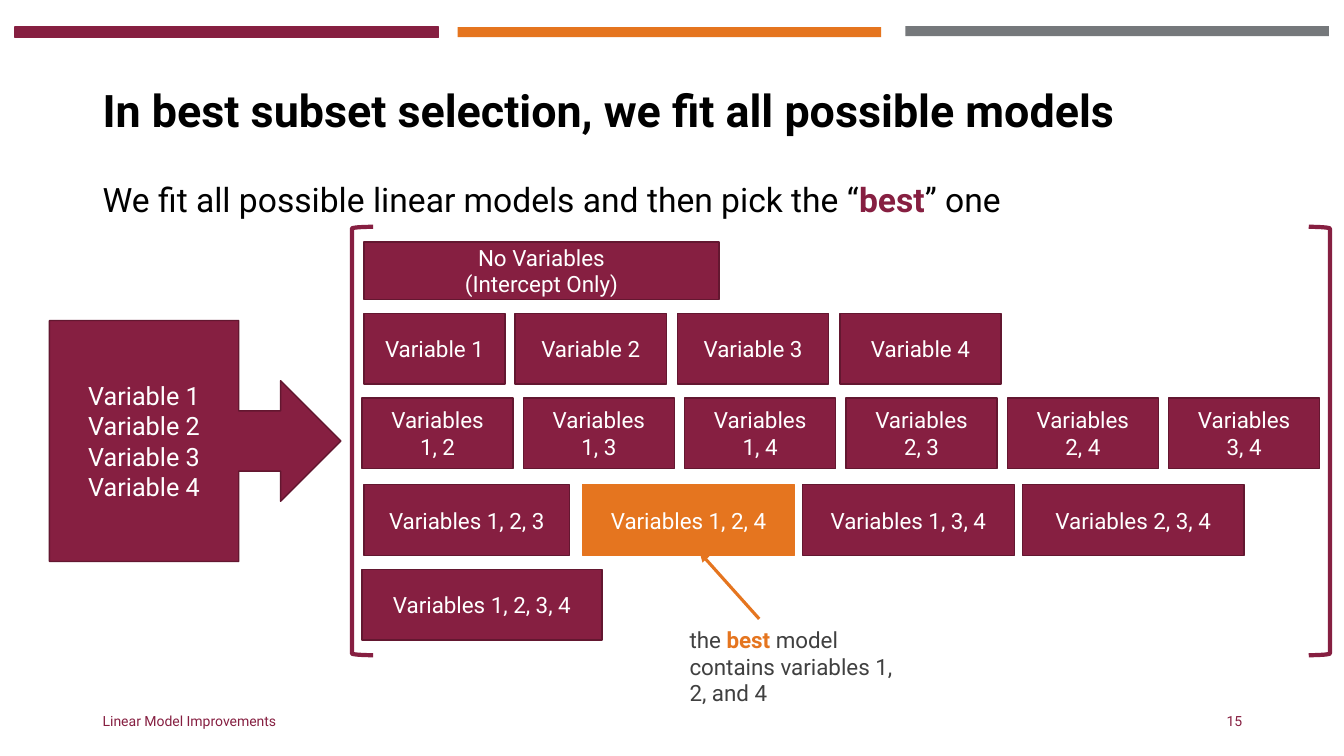
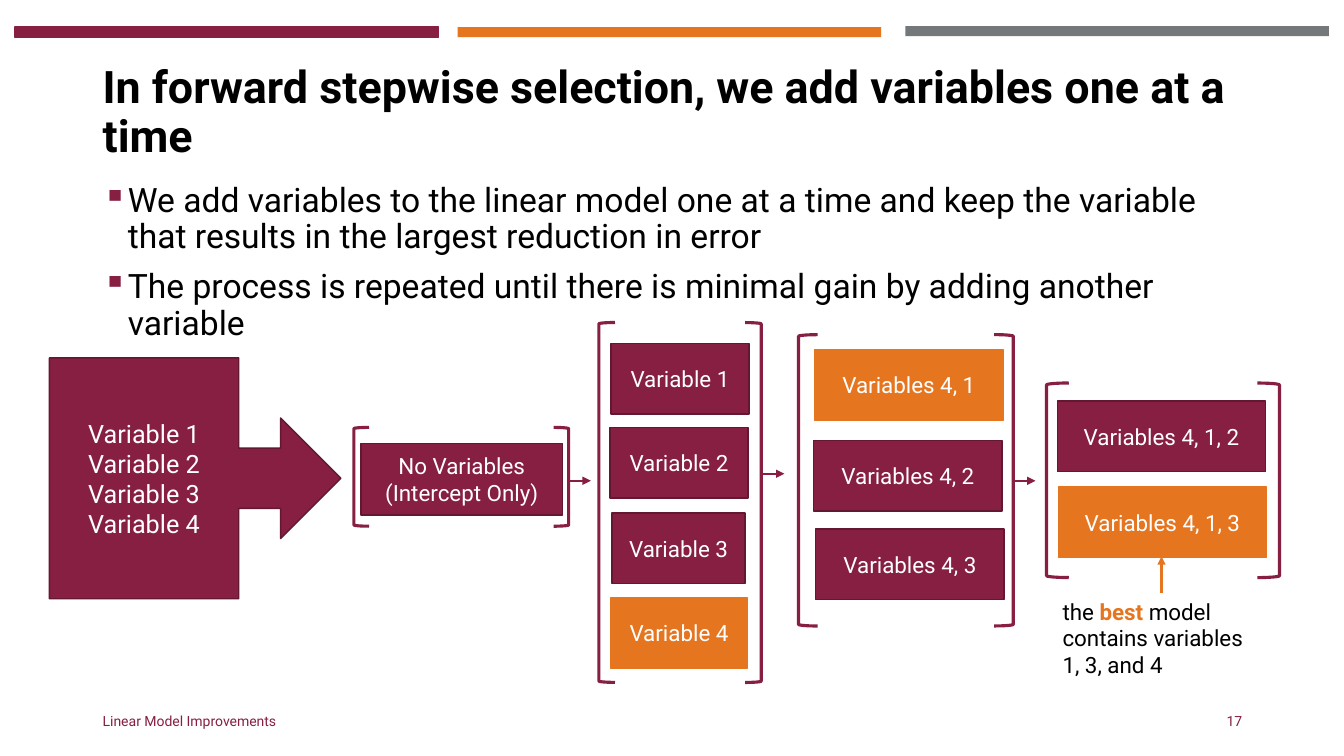
from dataclasses import dataclass
from itertools import combinations

from lxml import etree
from pptx import Presentation
from pptx.dml.color import RGBColor
from pptx.enum.shapes import MSO_CONNECTOR, MSO_SHAPE
from pptx.enum.text import MSO_ANCHOR, PP_ALIGN
from pptx.oxml.ns import qn
from pptx.util import Inches, Pt

RECT = MSO_SHAPE.RECTANGLE
BRACKET = MSO_SHAPE.LEFT_BRACKET
CALLOUT = MSO_SHAPE.RIGHT_ARROW_CALLOUT
STRAIGHT = MSO_CONNECTOR.STRAIGHT
LEFT, CENTER, RIGHT = PP_ALIGN.LEFT, PP_ALIGN.CENTER, PP_ALIGN.RIGHT
TOP, MIDDLE = MSO_ANCHOR.TOP, MSO_ANCHOR.MIDDLE


@dataclass(frozen=True)
class Theme:
    font: str = "Roboto"
    maroon: str = "861F41"
    outline: str = "631730"
    orange: str = "E5751F"
    gray: str = "75787B"
    dark: str = "404040"
    black: str = "000000"
    white: str = "FFFFFF"
    title: int = 32
    body: int = 24
    callout: int = 18
    label: int = 16
    footer: int = 10


@dataclass(frozen=True)
class Box:
    left: float
    top: float
    width: float
    text: str
    height: float = 0.7
    best: bool = False


@dataclass(frozen=True)
class Brackets:
    left: float
    right: float
    top: float
    width: float
    height: float
    weight: float = 2.25


@dataclass(frozen=True)
class Arrow:
    x1: float
    y1: float
    x2: float
    y2: float
    color: str
    weight: float = 1.5


THEME = Theme()


def rgb(color: str) -> RGBColor:
    return RGBColor.from_string(color)


def add_bullet(p, color: str) -> None:
    pPr = p._p.get_or_add_pPr()
    pPr.set("marL", str(Inches(0.25)))
    pPr.set("indent", str(-Inches(0.25)))
    clr = etree.SubElement(pPr, qn("a:buClr"))
    etree.SubElement(clr, qn("a:srgbClr"), val=color)
    etree.SubElement(pPr, qn("a:buChar"), char="▪")


def write_text(tf, text: str, *, size: int, color: str = THEME.black,
               accent: str = THEME.orange, bold: bool = False, align=LEFT,
               anchor=TOP, spacing: float = 1.0, before: float = 0,
               bullet: bool = False) -> None:
    """Lines become paragraphs; words between asterisks are accented."""
    tf.word_wrap = True
    tf.vertical_anchor = anchor
    for i, line in enumerate(text.split("\n")):
        p = tf.add_paragraph() if i else tf.paragraphs[0]
        if bullet:
            add_bullet(p, THEME.maroon)
        p.alignment = align
        p.line_spacing = spacing
        p.space_before = Pt(before if i else 0)
        for j, part in enumerate(line.split("*")):
            r = p.add_run()
            r.text = part
            r.font.name = THEME.font
            r.font.size = Pt(size)
            r.font.bold = bold or j % 2 == 1
            r.font.color.rgb = rgb(accent if j % 2 else color)


def add_text(s, left: float, top: float, width: float, height: float,
             text: str, **style) -> None:
    sp = s.shapes.add_textbox(Inches(left), Inches(top),
                              Inches(width), Inches(height))
    write_text(sp.text_frame, text, **style)


def add_shape(s, kind, left: float, top: float, width: float, height: float,
              *, line: str, fill: str = "", weight: float = 1):
    sp = s.shapes.add_shape(kind, Inches(left), Inches(top),
                            Inches(width), Inches(height))
    sp.shadow.inherit = False
    if fill:
        sp.fill.solid()
        sp.fill.fore_color.rgb = rgb(fill)
    else:
        sp.fill.background()
    sp.line.color.rgb = rgb(line)
    sp.line.width = Pt(weight)
    return sp


def add_box(s, box: Box) -> None:
    fill, line = ((THEME.orange, THEME.orange) if box.best
                  else (THEME.maroon, THEME.outline))
    sp = add_shape(s, RECT, box.left, box.top, box.width, box.height,
                   fill=fill, line=line)
    write_text(sp.text_frame, box.text, size=THEME.label, color=THEME.white,
               align=CENTER, anchor=MIDDLE)


def add_brackets(s, b: Brackets) -> None:
    for left, angle in ((b.left, 0), (b.right, 180)):
        sp = add_shape(s, BRACKET, left, b.top, b.width, b.height,
                       line=THEME.maroon, weight=b.weight)
        sp.rotation = angle


def add_arrow(s, a: Arrow) -> None:
    cxn = s.shapes.add_connector(STRAIGHT, Inches(a.x1), Inches(a.y1),
                                 Inches(a.x2), Inches(a.y2))
    cxn.line.color.rgb = rgb(a.color)
    cxn.line.width = Pt(a.weight)
    etree.SubElement(cxn.line._get_or_add_ln(), qn("a:tailEnd"),
                     type="triangle")
    etree.SubElement(cxn._element.spPr, qn("a:effectLst"))


def add_callout(s, top: float) -> None:
    sp = add_shape(s, CALLOUT, 0.49, top, 2.89, 2.39,
                   fill=THEME.maroon, line=THEME.outline)
    text = "\n".join(f"Variable {n}" for n in range(1, 5))
    write_text(sp.text_frame, text, size=THEME.callout, color=THEME.white,
               align=CENTER, anchor=MIDDLE)


def add_slide(prs, title: str, body: str, number: int, bullet: bool = False):
    s = prs.slides.add_slide(prs.slide_layouts[6])
    for left, top, color in ((0.15, 0.27, THEME.maroon),
                             (4.54, 0.27, THEME.orange),
                             (8.98, 0.26, THEME.gray)):
        bar = add_shape(s, RECT, left, top, 4.2, 0.1, fill=color, line=color)
        if color != THEME.maroon:
            bar.line.fill.background()
    add_text(s, 0.92, 0.4, 11.5, 1.45, title, size=THEME.title, bold=True,
             anchor=MIDDLE, spacing=0.9)
    add_text(s, 0.92, 1.77, 11.5, 4.76, body, size=THEME.body,
             accent=THEME.maroon, spacing=0.9, before=10, bullet=bullet)
    add_text(s, 0.92, 6.95, 4.5, 0.4, "Linear Model Improvements",
             size=THEME.footer, color=THEME.maroon, anchor=MIDDLE)
    add_text(s, 9.42, 6.95, 3, 0.4, str(number), size=THEME.footer,
             color=THEME.maroon, align=RIGHT, anchor=MIDDLE)
    return s


def add_diagram(s, boxes: list[Box], brackets: list[Brackets],
                arrows: list[Arrow]) -> None:
    for box in boxes:
        add_box(s, box)
    for pair in brackets:
        add_brackets(s, pair)
    for arrow in arrows:
        add_arrow(s, arrow)


def build_best_subset(prs) -> None:
    s = add_slide(prs, "In best subset selection, we fit all possible models",
                  "We fit all possible linear models and then pick the "
                  "“*best*” one", 15)
    add_callout(s, 3.18)
    boxes = [
        Box(3.61, 2.4, 3.52, "No Variables\n(Intercept Only)", height=0.57),
        Box(3.61, 3.11, 1.4, "Variable 1"),
        Box(5.11, 3.11, 1.5, "Variable 2"),
        Box(6.72, 3.11, 1.5, "Variable 3"),
        Box(8.33, 3.11, 1.6, "Variable 4"),
        Box(3.61, 4.81, 2.04, "Variables 1, 2, 3"),
        Box(5.78, 4.81, 2.1, "Variables 1, 2, 4", best=True),
        Box(7.96, 4.81, 2.1, "Variables 1, 3, 4"),
        Box(10.14, 4.81, 2.2, "Variables 2, 3, 4"),
        Box(3.59, 5.65, 2.38, "Variables 1, 2, 3, 4"),
    ]
    boxes += [Box(3.59 + 1.6 * i, 3.95, 1.5, f"Variables\n{a}, {b}")
              for i, (a, b) in enumerate(combinations(range(1, 5), 2))]
    add_diagram(s, boxes, [Brackets(3.49, 12.98, 2.25, 0.21, 4.25, 3)],
                [Arrow(7.53, 6.14, 6.94, 5.48, THEME.orange, 2.25)])
    add_text(s, 6.74, 6.16, 2.22, 0.91,
             "the *best* model contains variables 1, 2, and 4",
             size=THEME.label, color=THEME.dark)


def build_forward_stepwise(prs) -> None:
    s = add_slide(prs, "In forward stepwise selection, we add variables one "
                  "at a time",
                  "We add variables to the linear model one at a time and "
                  "keep the variable that results in the largest reduction "
                  "in error\n"
                  "The process is repeated until there is minimal gain by "
                  "adding another variable", 17, bullet=True)
    add_callout(s, 3.55)
    boxes = [
        Box(3.58, 4.4, 2, "No Variables\n(Intercept Only)", height=0.71),
        Box(6.06, 3.41, 1.37, "Variable 1"),
        Box(6.05, 4.24, 1.37, "Variable 2"),
        Box(6.07, 5.09, 1.32, "Variable 3"),
        Box(6.06, 5.93, 1.35, "Variable 4", best=True),
        Box(8.08, 3.47, 1.87, "Variables 4, 1", best=True),
        Box(8.07, 4.37, 1.87, "Variables 4, 2"),
        Box(8.09, 5.25, 1.87, "Variables 4, 3"),
        Box(10.49, 3.98, 2.06, "Variables 4, 1, 2"),
        Box(10.5, 4.83, 2.06, "Variables 4, 1, 3", best=True),
    ]
    brackets = [
        Brackets(3.51, 5.49, 4.24, 0.15, 0.98),
        Brackets(5.94, 7.39, 3.2, 0.16, 3.57),
        Brackets(7.92, 9.86, 3.32, 0.19, 2.89),
        Brackets(10.38, 12.47, 3.8, 0.22, 1.93),
    ]
    arrows = [Arrow(x, y, x + 0.22, y, THEME.maroon)
              for x, y in ((5.64, 4.77), (7.56, 4.7), (10.05, 4.77))]
    arrows.append(Arrow(11.52, 5.88, 11.52, 5.52, THEME.orange))
    add_diagram(s, boxes, brackets, arrows)
    add_text(s, 10.44, 5.88, 2.17, 0.91,
             "the *best* model contains variables 1, 3, and 4",
             size=THEME.label)


def main() -> None:
    prs = Presentation()
    prs.slide_width, prs.slide_height = Inches(13.33), Inches(7.5)
    build_best_subset(prs)
    build_forward_stepwise(prs)
    prs.save("out.pptx")


if __name__ == "__main__":
    main()
